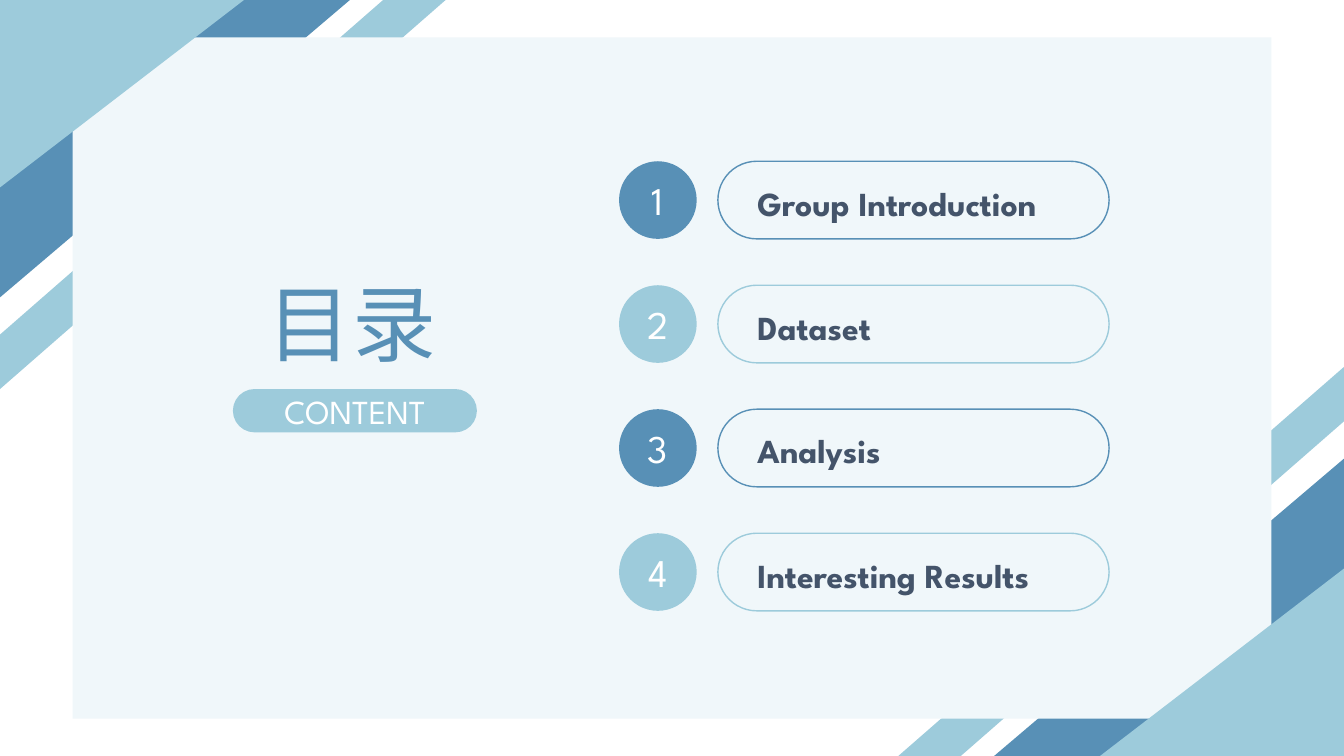
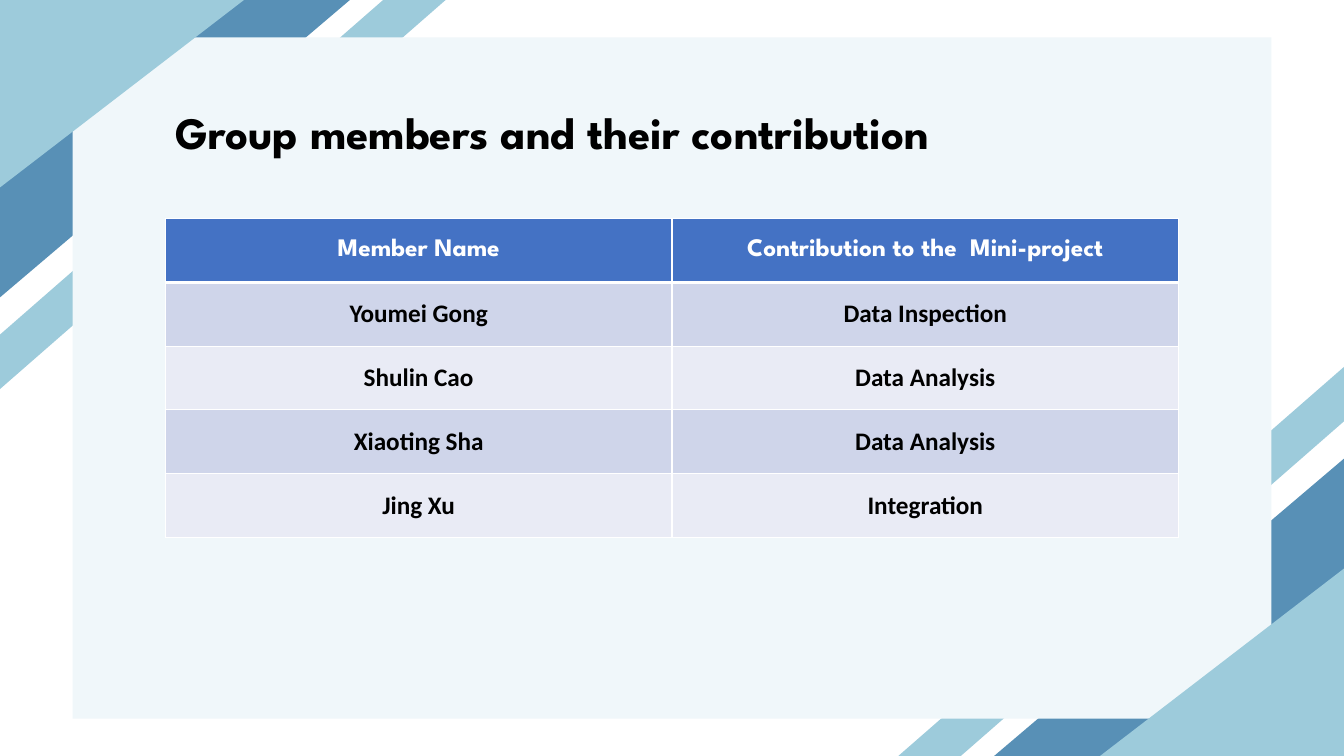
from lxml import etree
from pptx import Presentation
from pptx.dml.color import RGBColor
from pptx.enum.shapes import MSO_SHAPE
from pptx.enum.text import MSO_ANCHOR, PP_ALIGN
from pptx.oxml.ns import qn
from pptx.util import Inches, Pt

RECTANGLE = MSO_SHAPE.RECTANGLE
ROUNDED = MSO_SHAPE.ROUNDED_RECTANGLE
OVAL = MSO_SHAPE.OVAL
RIGHT_TRIANGLE = MSO_SHAPE.RIGHT_TRIANGLE
LEFT, CENTER = PP_ALIGN.LEFT, PP_ALIGN.CENTER
TOP, MIDDLE = MSO_ANCHOR.TOP, MSO_ANCHOR.MIDDLE

SLIDE_WIDTH, SLIDE_HEIGHT = 13.33, 7.5
HEADING_FONT, BODY_FONT = "League Spartan", "Calibri"
COLORS = {
    "white": "FFFFFF",
    "black": "000000",
    "blue": "5890B6",
    "light_blue": "9DCBDB",
    "panel": "F0F7FA",
    "slate": "44546A",
    "table_header": "4472C4",
    "table_odd": "CFD5EA",
    "table_even": "E9EBF5",
}
STRIPE = [(4.42, 0), (0, 3.86), (0, 3.32), (3.8, 0)]
CHAPTERS = ["Group Introduction", "Dataset", "Analysis", "Interesting Results"]
MEMBERS = [
    ("Member Name", "Contribution to the  Mini-project"),
    ("Youmei Gong", "Data Inspection"),
    ("Shulin Cao", "Data Analysis"),
    ("Xiaoting Sha", "Data Analysis"),
    ("Jing Xu", "Integration"),
]


def rgb(name):
    return RGBColor.from_string(COLORS[name])


def style(shape, fill=None, line=None):
    shape.shadow.inherit = False
    if fill:
        shape.fill.solid()
        shape.fill.fore_color.rgb = rgb(fill)
    else:
        shape.fill.background()
    if line:
        shape.line.color.rgb = rgb(line)
        shape.line.width = Pt(1)
    else:
        shape.line.fill.background()


def add_preset(slide, preset, left, top, width, height, fill=None, line=None):
    shape = slide.shapes.add_shape(
        preset, Inches(left), Inches(top), Inches(width), Inches(height))
    if preset == ROUNDED:
        shape.adjustments[0] = 0.5
    style(shape, fill, line)
    return shape


def write(frame, text, size=24, color="white", font=HEADING_FONT, bold=False,
          align=CENTER, anchor=MIDDLE):
    frame.word_wrap = True
    frame.vertical_anchor = anchor
    paragraph = frame.paragraphs[0]
    paragraph.alignment = align
    run = paragraph.add_run()
    run.text = text
    run.font.size = Pt(size)
    run.font.name = font
    run.font.bold = bold
    run.font.color.rgb = rgb(color)


def add_text(slide, left, top, width, height, text, **text_format):
    box = slide.shapes.add_textbox(
        Inches(left), Inches(top), Inches(width), Inches(height))
    write(box.text_frame, text, **text_format)


def add_stripe(slide, points):
    start, *others = [(Inches(x), Inches(y)) for x, y in points]
    builder = slide.shapes.build_freeform(*start)
    builder.add_line_segments(others, close=True)
    style(builder.convert_to_shape(), "light_blue")


def add_corner_pair(slide, width, height, fill):
    """Fill the top left and bottom right corners with equal triangles."""
    far_left, far_top = SLIDE_WIDTH - width, SLIDE_HEIGHT - height
    for left, top, rotation in [(0, 0, 90), (far_left, far_top, 270)]:
        # A quarter turn swaps the sides around the same centre.
        shift = (width - height) / 2
        triangle = add_preset(slide, RIGHT_TRIANGLE, left + shift, top - shift,
                              height, width, fill)
        triangle.rotation = rotation


def add_framed_slide(presentation):
    slide = presentation.slides.add_slide(presentation.slide_layouts[6])
    add_stripe(slide, STRIPE)
    add_stripe(slide, [(SLIDE_WIDTH - x, SLIDE_HEIGHT - y) for x, y in STRIPE])
    add_corner_pair(slide, 3.47, 2.95, "blue")
    add_preset(slide, RECTANGLE, 0.72, 0.37, 11.89, 6.76, "panel")
    add_corner_pair(slide, 2.42, 1.86, "light_blue")
    return slide


def add_chapter(slide, number, name):
    top = 1.6 + 1.23 * (number - 1)
    color = "blue" if number % 2 else "light_blue"
    pill = add_preset(slide, ROUNDED, 7.12, top, 3.88, 0.77, line=color)
    pill.text_frame.margin_left = Inches(0.28)
    pill.text_frame.margin_top = Inches(0.1)
    write(pill.text_frame, name, color="slate", bold=True, align=LEFT)
    circle = add_preset(slide, OVAL, 6.14, top, 0.77, 0.77, color)
    write(circle.text_frame, str(number), size=28)


def set_borders(cell, **widths):
    """Draw white cell borders; widths are in points, by side letter."""
    properties = cell._tc.get_or_add_tcPr()
    for side in "LRTB":
        line = etree.SubElement(properties, qn(f"a:ln{side}"),
                                w=str(Pt(widths.get(side, 1))))
        fill = etree.SubElement(line, qn("a:solidFill"))
        etree.SubElement(fill, qn("a:srgbClr"), val=COLORS["white"])


def add_member_table(slide, left, top, width, height):
    table = slide.shapes.add_table(
        len(MEMBERS), len(MEMBERS[0]), Inches(left), Inches(top),
        Inches(width), Inches(height)).table
    for row, texts in enumerate(MEMBERS):
        for column, text in enumerate(texts):
            cell = table.cell(row, column)
            if row == 0:
                fill, color, font = "table_header", "white", HEADING_FONT
                set_borders(cell, B=3)
            else:
                fill = "table_odd" if row % 2 else "table_even"
                color, font = "black", BODY_FONT
                set_borders(cell, T=3 if row == 1 else 1)
            cell.fill.solid()
            cell.fill.fore_color.rgb = rgb(fill)
            cell.vertical_anchor = MIDDLE
            write(cell.text_frame, text, size=18, color=color, font=font,
                  bold=True)


def build_contents(presentation):
    slide = add_framed_slide(presentation)
    for number, name in enumerate(CHAPTERS, start=1):
        add_chapter(slide, number, name)
    add_text(slide, 2.56, 2.64, 1.9, 1.11, "目录", size=60, color="blue",
             align=LEFT, anchor=TOP)
    label = add_preset(slide, ROUNDED, 2.31, 3.86, 2.42, 0.43, "light_blue")
    write(label.text_frame, "CONTENT")


def build_members(presentation):
    slide = add_framed_slide(presentation)
    add_member_table(slide, 1.64, 2.17, 10.05, 3.16)
    add_text(slide, 1.64, 0.99, 10.05, 0.95,
             "Group members and their contribution", size=32, color="black",
             bold=True, align=LEFT, anchor=TOP)


def main():
    presentation = Presentation()
    presentation.slide_width = Inches(SLIDE_WIDTH)
    presentation.slide_height = Inches(SLIDE_HEIGHT)
    build_contents(presentation)
    build_members(presentation)
    presentation.save("out.pptx")


if __name__ == "__main__":
    main()
